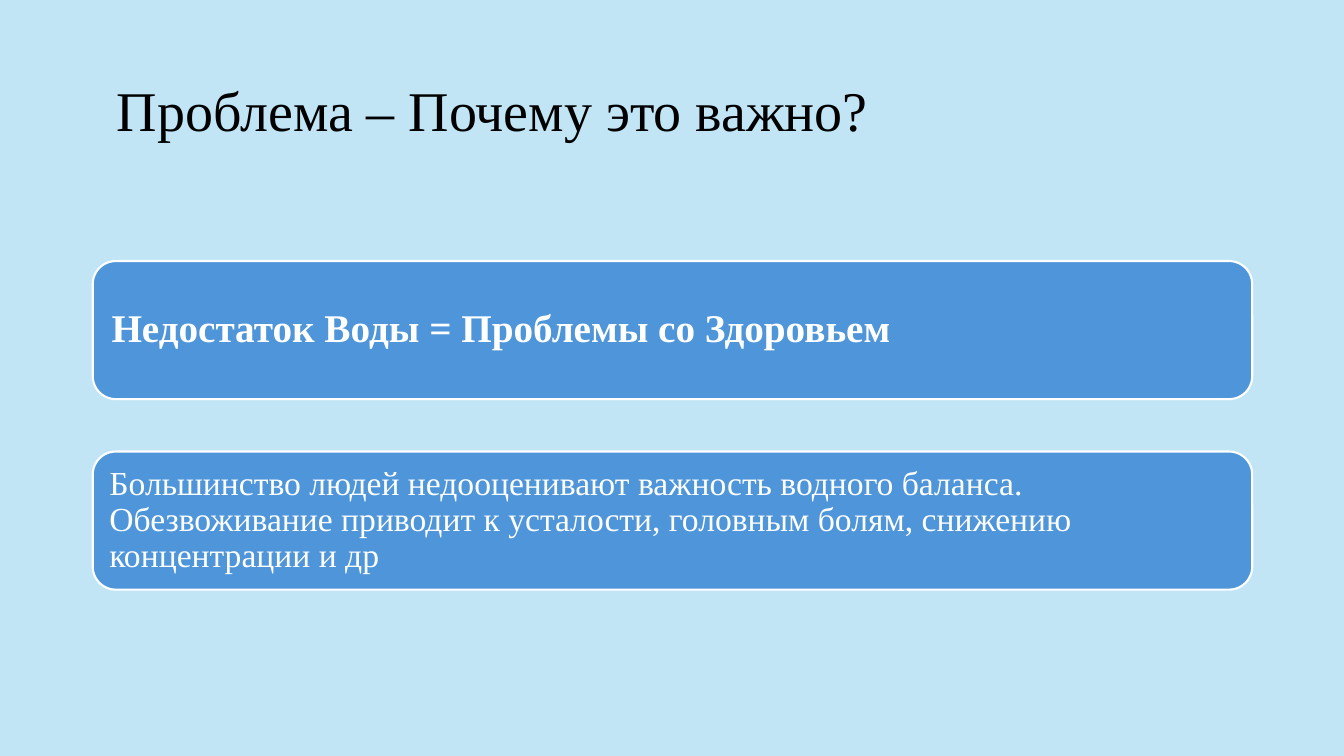
"""Build the slide on why water balance matters."""
from dataclasses import dataclass

from pptx import Presentation
from pptx.dml.color import RGBColor
from pptx.enum.shapes import MSO_SHAPE
from pptx.enum.text import MSO_ANCHOR, MSO_AUTO_SIZE, PP_ALIGN
from pptx.slide import Slide
from pptx.text.text import TextFrame
from pptx.util import Inches, Pt


@dataclass(frozen=True)
class Theme:
    font: str = "Times New Roman"
    background: RGBColor = RGBColor(0xC1, 0xE5, 0xF5)
    panel: RGBColor = RGBColor(0x4E, 0x95, 0xD9)
    dark: RGBColor = RGBColor(0, 0, 0)
    light: RGBColor = RGBColor(0xFF, 0xFF, 0xFF)
    title_size: int = 40
    heading_size: int = 28
    body_size: int = 24
    outline: float = 1.5
    line_spacing: float = 0.9


@dataclass(frozen=True)
class Panel:
    text: str
    size: int
    inset: float
    bold: bool = False


THEME = Theme()
LEFT, WIDTH = 0.92, 11.5
PANEL_TOP, PANEL_HEIGHT, PANEL_STEP = 2.59, 1.37, 1.89
PANELS = (
    Panel("Недостаток Воды = Проблемы со Здоровьем", THEME.heading_size, 0.12, True),
    Panel(
        "Большинство людей недооценивают важность водного баланса. "
        "Обезвоживание приводит к усталости, головным болям, снижению "
        "концентрации и др",
        THEME.body_size,
        0.1,
    ),
)


def write(frame: TextFrame, text: str, size: int, color: RGBColor,
          inset: float, indent: float, bold: bool = False) -> None:
    frame.text = text
    para = frame.paragraphs[0]
    span = para.runs[0]
    formats = {
        frame: {
            "word_wrap": True,
            "auto_size": MSO_AUTO_SIZE.NONE,
            "vertical_anchor": MSO_ANCHOR.MIDDLE,
            "margin_left": Inches(indent),
            "margin_right": Inches(inset),
            "margin_top": Inches(inset),
            "margin_bottom": Inches(inset),
        },
        para: {"alignment": PP_ALIGN.LEFT, "line_spacing": THEME.line_spacing},
        span.font: {"name": THEME.font, "size": Pt(size), "bold": bold},
    }
    for target, values in formats.items():
        for name, value in values.items():
            setattr(target, name, value)
    span.font.color.rgb = color


def add_title(page: Slide, text: str) -> None:
    title = page.shapes.title
    place = {"left": LEFT, "top": 0.4, "width": WIDTH, "height": 1.45}
    for name, value in place.items():
        setattr(title, name, Inches(value))
    write(title.text_frame, text, THEME.title_size, THEME.dark, 0.05, 0.24)


def add_panel(page: Slide, panel: Panel, top: float) -> None:
    box = page.shapes.add_shape(
        MSO_SHAPE.ROUNDED_RECTANGLE,
        Inches(LEFT), Inches(top), Inches(WIDTH), Inches(PANEL_HEIGHT),
    )
    box.shadow.inherit = False
    box.fill.solid()
    box.fill.fore_color.rgb = THEME.panel
    box.line.color.rgb = THEME.light
    box.line.width = Pt(THEME.outline)
    write(box.text_frame, panel.text, panel.size, THEME.light,
          panel.inset, panel.inset, panel.bold)


def main() -> None:
    deck = Presentation()
    deck.slide_width, deck.slide_height = Inches(13.33), Inches(7.5)
    page = deck.slides.add_slide(deck.slide_layouts.get_by_name("Title Only"))
    page.background.fill.solid()
    page.background.fill.fore_color.rgb = THEME.background
    add_title(page, "Проблема – Почему это важно?")
    for index, panel in enumerate(PANELS):
        add_panel(page, panel, PANEL_TOP + index * PANEL_STEP)
    deck.save("out.pptx")


if __name__ == "__main__":
    main()
